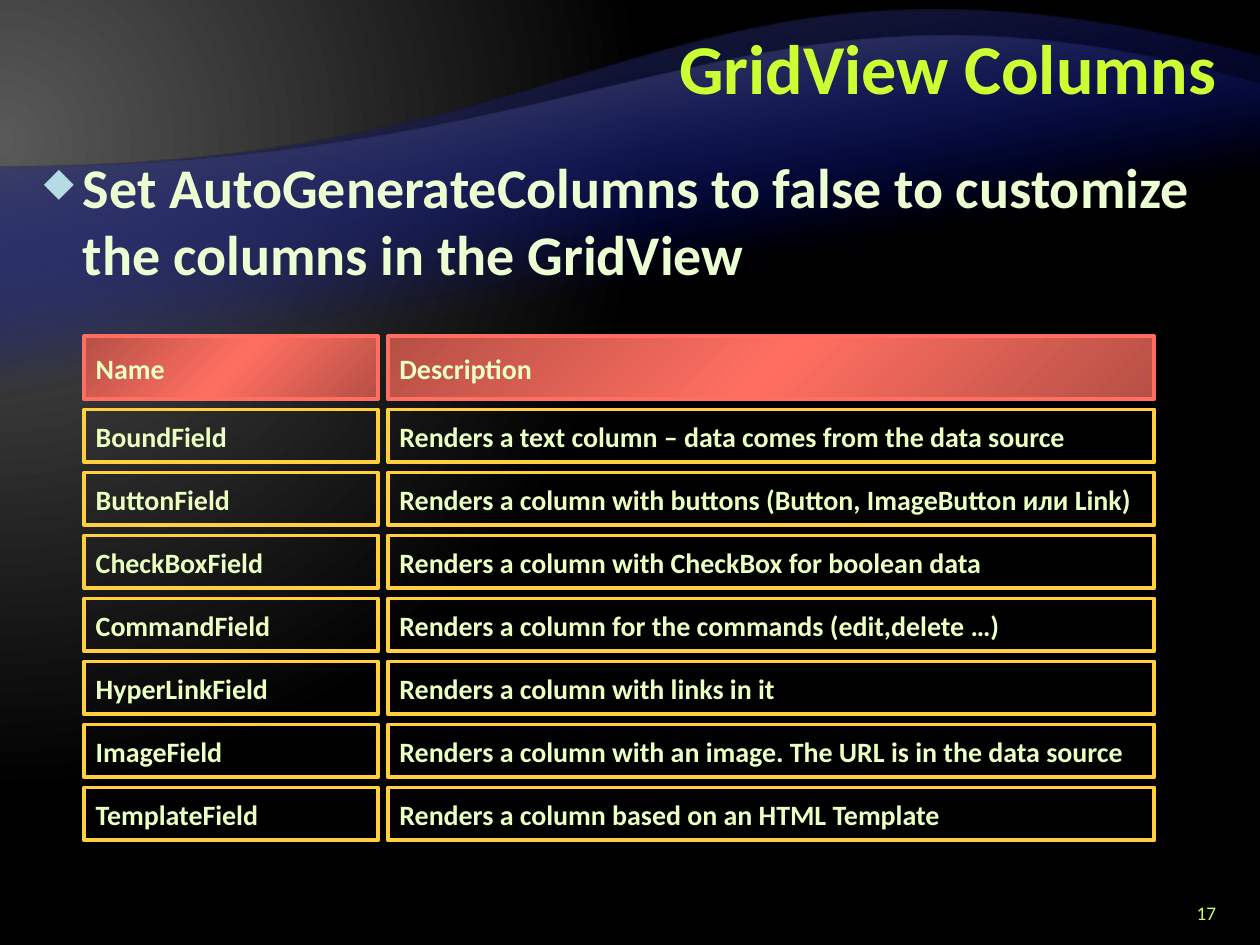
from lxml import etree
from pptx import Presentation
from pptx.dml.color import RGBColor
from pptx.enum.shapes import MSO_SHAPE
from pptx.enum.text import MSO_ANCHOR, PP_ALIGN
from pptx.oxml.ns import qn
from pptx.util import Inches, Pt

RECTANGLE = MSO_SHAPE.RECTANGLE
TOP, MIDDLE = MSO_ANCHOR.TOP, MSO_ANCHOR.MIDDLE
LEFT, RIGHT = PP_ALIGN.LEFT, PP_ALIGN.RIGHT
FONT = "Calibri"
COLORS = {
    "title": "CCFF33", "body": "EBFFD2", "bullet": "B5DBE5", "number": "CCFF66",
    "cell_text": "EBFFC2", "cell_line": "FFCF3E",
    "header": "FF6F61", "header_dark": "B64F45",
    "glow": "595959", "night": "000000", "wave": "000D9E", "wave_edge": "262626",
}
HEADINGS = ("Name", "Description")
FIELDS = [
    ("BoundField", "Renders a text column – data comes from the data source"),
    ("ButtonField", "Renders a column with buttons (Button, ImageButton или Link)"),
    ("CheckBoxField", "Renders a column with CheckBox for boolean data"),
    ("CommandField", "Renders a column for the commands (edit,delete …)"),
    ("HyperLinkField", "Renders a column with links in it"),
    ("ImageField", "Renders a column with an image. The URL is in the data source"),
    ("TemplateField", "Renders a column based on an HTML Template"),
]


def rgb(name):
    """Return the named colour."""
    return RGBColor.from_string(COLORS[name])


def add_child(parent, tag, **attributes):
    """Append an XML child with the given attributes."""
    child = etree.SubElement(parent, qn(tag))
    for key, value in attributes.items():
        child.set(key, str(value))
    return child


def set_gradient(fill, owner, stops, angle=None, focus=None):
    """Fill with (percent, colour, opacity) stops, linear or circular."""
    fill.gradient()
    gradient = owner.find(".//" + qn("a:gradFill"))
    for child in list(gradient):
        gradient.remove(child)
    gradient.set("rotWithShape", "1")
    stop_list = add_child(gradient, "a:gsLst")
    for percent, name, opacity in stops:
        stop = add_child(stop_list, "a:gs", pos=percent * 1000)
        color = add_child(stop, "a:srgbClr", val=COLORS[name])
        if opacity < 100:
            add_child(color, "a:alpha", val=opacity * 1000)
    if focus:
        circle = add_child(gradient, "a:path", path="circle")
        sides = {side: value * 1000 for side, value in zip("ltrb", focus)}
        add_child(circle, "a:fillToRect", **sides)
    else:
        add_child(gradient, "a:lin", ang=angle * 60000, scaled=0)


def style_text(paragraph, size, color, bold=True, align=LEFT):
    """Set the font and alignment of a paragraph."""
    paragraph.alignment = align
    paragraph.font.name = FONT
    paragraph.font.size = Pt(size)
    paragraph.font.bold = bold
    paragraph.font.color.rgb = rgb(color)


def add_text(slide, box, text, anchor):
    """Place a wrapping text box and return its paragraph."""
    frame = slide.shapes.add_textbox(*map(Inches, box)).text_frame
    frame.word_wrap = True
    frame.vertical_anchor = anchor
    frame.text = text
    return frame.paragraphs[0]


def add_wave(slide, box, left_edge, controls, edge_color):
    """Draw a wave that fades downwards from its curved upper edge."""
    x, y, width, height = box
    units = 1000
    builder = slide.shapes.build_freeform(
        round((x + width) * units), round((y + height) * units), Inches(1) / units)
    corners = [(x, y + height), (x, left_edge), (x + width, y)]
    builder.add_line_segments(
        [(round(cx * units), round(cy * units)) for cx, cy in corners], close=True)
    wave = builder.convert_to_shape()
    crest = wave.element.findall(".//" + qn("a:lnTo"))[-1]
    curve = etree.Element(qn("a:cubicBezTo"))
    for cx, cy in controls:
        add_child(curve, "a:pt", x=round((cx - x) * units), y=round((cy - y) * units))
    curve.append(crest[0])
    crest.getparent().replace(crest, curve)
    set_gradient(wave.fill, wave.element,
                 [(0, "wave", 0), (65, "wave", 0), (100, edge_color, 100)], angle=260)
    wave.line.fill.background()
    wave.shadow.inherit = False


def add_backdrop(slide):
    """Paint the dark background and its two waves."""
    set_gradient(slide.background.fill, slide.element,
                 [(0, "glow", 100), (83, "night", 100)], focus=(20, 30, 135, 100))
    add_wave(slide, (0, 0.45, 10, 6.08), 1.33, [(5, 1.33), (5.34, -0.75)], "wave_edge")
    add_wave(slide, (0, 0.67, 10, 4.9), 1.33, [(5, 1.33), (5.98, -0.49)], "glow")


def add_title(slide, box):
    """Place the slide title."""
    title = add_text(slide, box, "GridView Columns", MIDDLE)
    title.line_spacing = Pt(40)
    style_text(title, 40, "title", align=RIGHT)


def add_body(slide, box):
    """Place the bulleted statement."""
    point = add_text(
        slide, box,
        "Set AutoGenerateColumns to false to customize the columns in the GridView", TOP)
    point.line_spacing = Pt(38)
    point.space_after = Pt(6)
    properties = point._p.get_or_add_pPr()
    properties.set("marL", str(Inches(0.31)))
    properties.set("indent", str(Inches(-0.31)))
    bullet_color = add_child(properties, "a:buClr")
    add_child(bullet_color, "a:srgbClr", val=COLORS["bullet"])
    add_child(properties, "a:buSzPct", val=70000)
    add_child(properties, "a:buChar", char="◆")
    style_text(point, 32, "body")


def add_cell(slide, box, text, is_header):
    """Draw one outlined cell of the grid."""
    cell = slide.shapes.add_shape(RECTANGLE, *map(Inches, box))
    cell.shadow.inherit = False
    if is_header:
        set_gradient(cell.fill, cell.element,
                     [(0, "header_dark", 100), (50, "header", 100),
                      (100, "header_dark", 100)], angle=45)
    else:
        cell.fill.background()
    cell.line.color.rgb = rgb("header" if is_header else "cell_line")
    cell.line.width = Pt(2.25)
    frame = cell.text_frame
    frame.margin_left = frame.margin_right = Inches(0.09)
    frame.margin_top = frame.margin_bottom = Inches(0.09)
    frame.word_wrap = False
    frame.vertical_anchor = MIDDLE
    frame.text = text
    style_text(frame.paragraphs[0], 16, "cell_text")


def add_field_grid(slide, box):
    """Lay out the headings and field rows inside the box."""
    left, top, width, height = box
    gap, name_width, header_height = 0.08, 2.33, 0.5
    pitch = (height - header_height + 0.0) / len(FIELDS)
    columns = [(left, name_width),
               (left + name_width + gap, width - name_width - gap)]
    for index, row in enumerate([HEADINGS, *FIELDS]):
        is_header = index == 0
        row_top = top if is_header else top + header_height + gap + (index - 1) * pitch
        row_height = header_height if is_header else pitch - gap
        for (x, cell_width), text in zip(columns, row):
            add_cell(slide, (x, row_top, cell_width, row_height), text, is_header)


def add_slide_number(slide, box):
    """Place the slide number."""
    number = add_text(slide, box, "17", MIDDLE)
    style_text(number, 11, "number", bold=False, align=RIGHT)


def main():
    """Build and save the slide."""
    deck = Presentation()
    deck.slide_width, deck.slide_height = Inches(10), Inches(7.5)
    slide = deck.slides.add_slide(deck.slide_layouts[6])
    add_backdrop(slide)
    add_title(slide, (2, 0.08, 7.75, 1))
    add_body(slide, (0.25, 1.17, 9.5, 1.25))
    add_slide_number(slide, (9.25, 7.12, 0.5, 0.25))
    add_field_grid(slide, (0.67, 2.67, 8.49, 4))
    deck.save("out.pptx")


if __name__ == "__main__":
    main()
